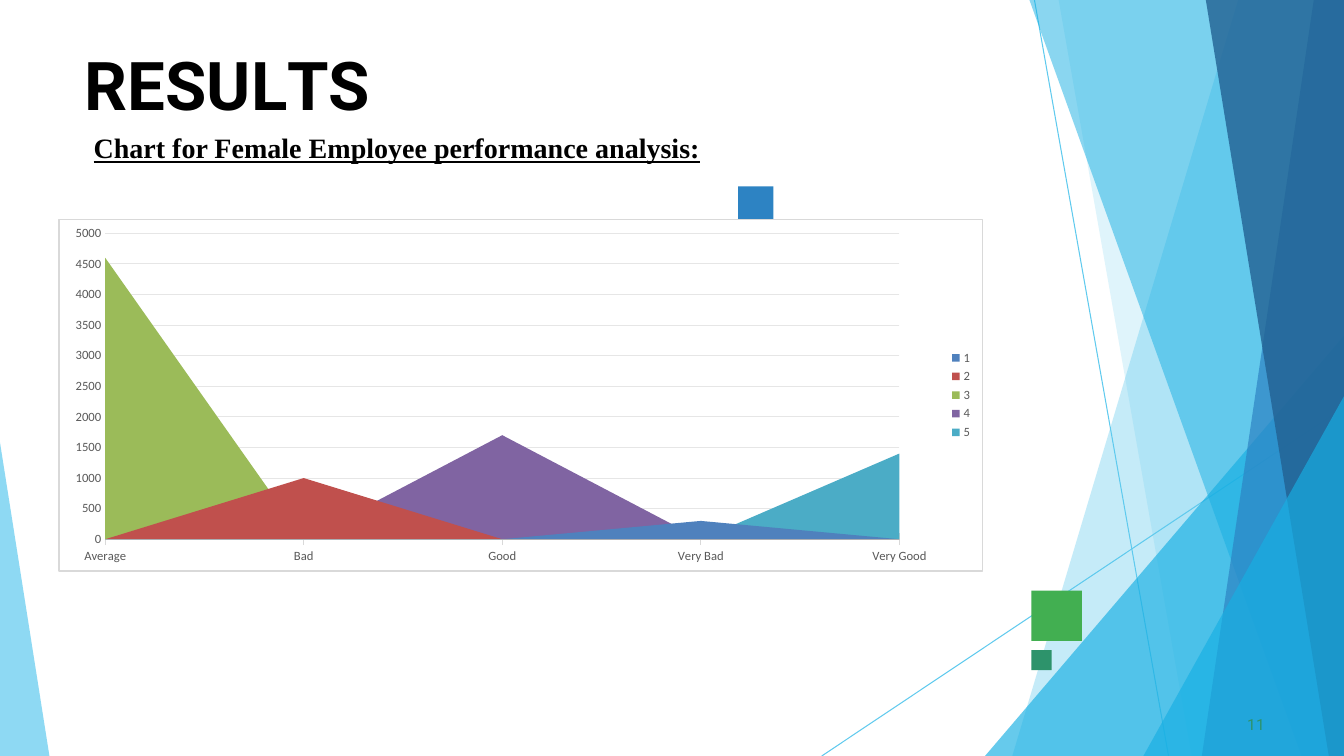
from lxml.etree import SubElement
from pptx import Presentation
from pptx.chart.data import CategoryChartData
from pptx.dml.color import RGBColor
from pptx.enum.chart import XL_CHART_TYPE, XL_LEGEND_POSITION, XL_TICK_MARK
from pptx.enum.shapes import MSO_CONNECTOR, MSO_SHAPE
from pptx.oxml import parse_xml
from pptx.oxml.ns import nsdecls, qn
from pptx.util import Inches, Pt

WIDTH, HEIGHT = 13.33, 7.5
BLACK = RGBColor(0x00, 0x00, 0x00)
SKY = RGBColor(0x5F, 0xCA, 0xEE)
CYAN = RGBColor(0x17, 0xAF, 0xE3)
BLUE = RGBColor(0x2D, 0x83, 0xC3)
NAVY = RGBColor(0x22, 0x61, 0x92)
GREEN = RGBColor(0x42, 0xAF, 0x51)
TEAL = RGBColor(0x2D, 0x93, 0x6B)
LABEL_GREY = RGBColor(0x59, 0x59, 0x59)
BORDER_GREY = RGBColor(0xD9, 0xD9, 0xD9)
GRID_GREY = RGBColor(0xE6, 0xE6, 0xE6)

CATEGORIES = ["Average", "Bad", "Good", "Very Bad", "Very Good"]
RATINGS = [
    ("1", (0, 0, 0, 300, 0), RGBColor(0x4F, 0x81, 0xBD)),
    ("2", (0, 1000, 0, 0, 0), RGBColor(0xC0, 0x50, 0x4D)),
    ("3", (4600, 0, 0, 0, 0), RGBColor(0x9B, 0xBB, 0x59)),
    ("4", (0, 0, 1700, 0, 0), RGBColor(0x80, 0x64, 0xA2)),
    ("5", (0, 0, 0, 0, 1400), RGBColor(0x4B, 0xAC, 0xC6)),
]


def add_ray(page, start, end):
    """Draw one thin sky-blue line."""
    points = [Inches(value) for value in (*start, *end)]
    ray = page.shapes.add_connector(MSO_CONNECTOR.STRAIGHT, *points)
    ray.line.color.rgb = SKY
    ray.line.width = Pt(0.75)
    SubElement(ray._element.spPr, qn("a:effectLst"))


def add_facet(page, corners, color, opacity):
    """Draw one translucent polygon; opacity is a percentage."""
    points = [(Inches(x), Inches(y)) for x, y in corners]
    builder = page.shapes.build_freeform(*points[0], scale=1.0)
    builder.add_line_segments(points[1:], close=True)
    facet = builder.convert_to_shape()
    facet.shadow.inherit = False
    facet.line.fill.background()
    facet.fill.solid()
    facet.fill.fore_color.rgb = color
    tint = facet._element.spPr.find(qn("a:solidFill"))[0]
    SubElement(tint, qn("a:alpha"), val=str(opacity * 1000))


def add_backdrop(page, box):
    """Place the rays and facets along the edges of the box."""
    left, top, width, height = box
    right, bottom = left + width, top + height
    add_ray(page, (left + 10.26, top), (left + 11.59, bottom))
    add_ray(page, (right, top + 4.04), (left + 8.15, bottom))
    facets = [
        (12.28, 10.04, 0, SKY, 36),
        (10.5, 11.82, 0, SKY, 20),
        (WIDTH, 9.77, 3.33, CYAN, 66),
        (10.21, 12.91, 0, CYAN, 50),
        (13.03, 11.92, 0, BLUE, 70),
        (11.96, 13.18, 0, NAVY, 80),
        (WIDTH, 11.34, 3.93, CYAN, 66),
    ]
    for upper, lower, peak, color, opacity in facets:
        corners = [(right, top + peak), (left + upper, top + peak),
                   (left + lower, bottom), (right, bottom)]
        if upper == WIDTH:
            corners.pop(1)
        add_facet(page, corners, color, opacity)
    wedge = [(left, top + 4.39), (left, bottom), (left + 0.49, bottom)]
    add_facet(page, wedge, SKY, 70)


def add_square(page, box, color):
    """Draw one plain accent square."""
    square = page.shapes.add_shape(MSO_SHAPE.RECTANGLE, *map(Inches, box))
    square.shadow.inherit = False
    square.fill.solid()
    square.fill.fore_color.rgb = color
    square.line.fill.background()


def add_text(page, box, pieces, font, size, color, inset=(0, 0.01, 0, 0)):
    """Add a one-line text from (words, letter spacing) pieces and return its paragraph."""
    text_frame = page.shapes.add_textbox(*map(Inches, box)).text_frame
    text_frame.word_wrap = True
    (text_frame.margin_left, text_frame.margin_top,
     text_frame.margin_right, text_frame.margin_bottom) = map(Inches, inset)
    para = text_frame.paragraphs[0]
    for words, spacing in pieces:
        span = para.add_run()
        span.text = words
        span.font.name = font
        span.font.size = Pt(size)
        span.font.color.rgb = color
        if spacing:
            span.font._element.set("spc", str(round(spacing * 100)))
    return para


def add_headings(page, box):
    """Place the title and the underlined subtitle at the top of the box."""
    left, top, width, height = box
    letters = [("R", 0), ("E", -0.4), ("S", 0.1), ("U", -0.3), ("L", -4), ("TS", 0)]
    title = add_text(page, (left, top, width, height), letters, "Roboto", 48, BLACK)
    title.space_before = Pt(1.1)
    title._p.get_or_add_pPr().set("marL", str(Inches(0.01)))
    subtitle = add_text(
        page, (left, top + height, 6.5, 0.44),
        [("Chart for Female Employee performance analysis:", 0)],
        "Times New Roman", 20, BLACK, (0.1, 0.05, 0.1, 0.05))
    subtitle.runs[0].font.underline = True
    for span in title.runs + subtitle.runs:
        span.font.bold = True


def add_page_number(page, box):
    """Place the page number in the box."""
    number = add_text(page, box, [("11", 0.1)], "Roboto", 11, TEAL)
    number.space_before = Pt(0.6)
    number._p.get_or_add_pPr().set("marL", str(Inches(0.04)))


def style_font(font, size, color):
    """Apply the chart typeface."""
    font.name = "Calibri"
    font.size = Pt(size)
    font.color.rgb = color


def frame_chart(chart):
    """Fix the plot position and give the chart a white, bordered ground."""
    space = chart._chartSpace
    plot_area = space.find(".//" + qn("c:plotArea"))
    for layout in plot_area.findall(qn("c:layout")):
        plot_area.remove(layout)
    bounds = {"x": 0.05, "y": 0.04, "w": 0.86, "h": 0.87}
    sizes = "".join(f'<c:{key} val="{value}"/>' for key, value in bounds.items())
    plot_area.insert(0, parse_xml(
        f'<c:layout {nsdecls("c")}><c:manualLayout><c:layoutTarget val="inner"/>'
        f'<c:xMode val="edge"/><c:yMode val="edge"/>{sizes}'
        '</c:manualLayout></c:layout>'))
    plot_area.find(".//" + qn("c:crossBetween")).set("val", "midCat")
    space.find(qn("c:chart")).addnext(parse_xml(
        f'<c:spPr {nsdecls("c", "a")}><a:solidFill><a:srgbClr val="FFFFFF"/></a:solidFill>'
        f'<a:ln w="{Pt(0.75)}"><a:solidFill><a:srgbClr val="{BORDER_GREY}"/>'
        '</a:solidFill></a:ln></c:spPr>'))


def add_performance_chart(page, box):
    """Place the area chart of ratings in the box."""
    data = CategoryChartData()
    data.categories = CATEGORIES
    for name, values, _ in RATINGS:
        data.add_series(name, values)
    chart = page.shapes.add_chart(XL_CHART_TYPE.AREA, *map(Inches, box), data).chart
    style_font(chart.font, 10, BLACK)
    chart.has_title = False
    chart.has_legend = True
    chart.legend.position = XL_LEGEND_POSITION.RIGHT
    chart.legend.include_in_layout = False
    for series, (_, _, color) in zip(chart.plots[0].series, RATINGS):
        series.format.fill.solid()
        series.format.fill.fore_color.rgb = color
    names, amounts = chart.category_axis, chart.value_axis
    for part in (chart.legend.font, names.tick_labels.font, amounts.tick_labels.font):
        style_font(part, 9, LABEL_GREY)
    names.has_major_gridlines = False
    names.major_tick_mark = XL_TICK_MARK.CROSS
    amounts.major_tick_mark = XL_TICK_MARK.NONE
    names.minor_tick_mark = amounts.minor_tick_mark = XL_TICK_MARK.NONE
    amounts.minimum_scale, amounts.maximum_scale, amounts.major_unit = 0, 5000, 500
    amounts.format.line.fill.background()
    grid = amounts.major_gridlines.format.line
    for line, color in ((names.format.line, BORDER_GREY), (grid, GRID_GREY)):
        line.color.rgb = color
        line.width = Pt(0.75)
    frame_chart(chart)


def main():
    """Build and save the results slide."""
    deck = Presentation()
    deck.slide_width, deck.slide_height = Inches(WIDTH), Inches(HEIGHT)
    page = deck.slides.add_slide(deck.slide_layouts[6])
    add_backdrop(page, (0, 0, WIDTH, HEIGHT))
    add_square(page, (10.23, 5.86, 0.5, 0.5), GREEN)
    add_square(page, (7.32, 1.85, 0.35, 0.35), BLUE)
    add_square(page, (10.23, 6.45, 0.2, 0.2), TEAL)
    add_headings(page, (0.83, 0.42, 11.68, 0.83))
    add_page_number(page, (12.33, 7.08, 0.25, 0.21))
    add_performance_chart(page, (0.58, 2.17, 9.17, 3.5))
    deck.save("out.pptx")


if __name__ == "__main__":
    main()
